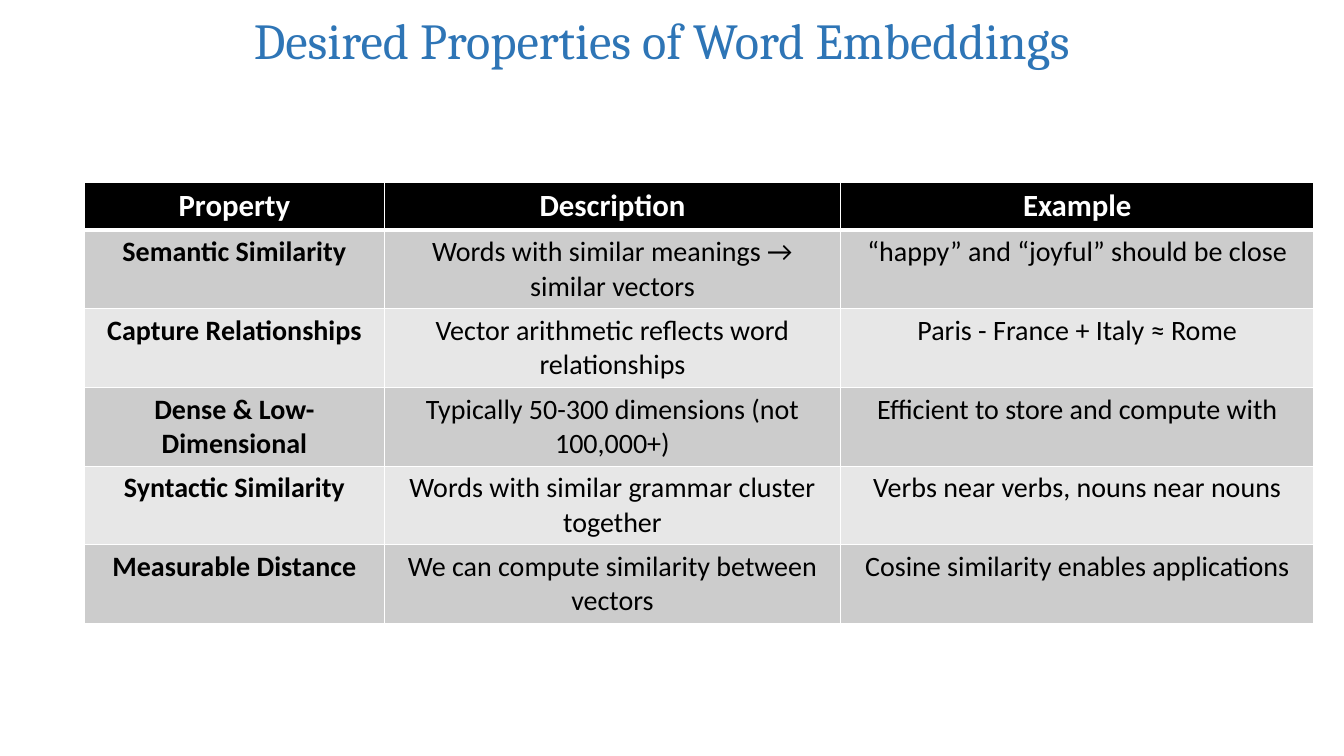
from lxml import etree
from pptx import Presentation
from pptx import util as u
from pptx.dml.color import RGBColor
from pptx.enum import text
from pptx.oxml import ns

WIDTH, HEIGHT = 13.33, 7.5
COLUMNS = (2.97, 4.53, 4.69)
HEADER_HEIGHT, ROW_HEIGHT = 0.46, 0.78
BANDS = ("CCCCCC", "E7E7E7")
ROWS = (
    ("Property", "Description", "Example"),
    ("Semantic Similarity", "Words with similar meanings → similar vectors",
     "“happy” and “joyful” should be close"),
    ("Capture Relationships", "Vector arithmetic reflects word relationships",
     "Paris - France + Italy ≈ Rome"),
    ("Dense & Low-Dimensional", "Typically 50-300 dimensions (not 100,000+)",
     "Efficient to store and compute with"),
    ("Syntactic Similarity", "Words with similar grammar cluster together",
     "Verbs near verbs, nouns near nouns"),
    ("Measurable Distance", "We can compute similarity between vectors",
     "Cosine similarity enables applications"),
)


def color(value):
    return RGBColor.from_string(value)


def write(frame, words, font, size, ink, bold=False):
    """Put one centred run into a text frame."""
    para = frame.paragraphs[0]
    para.alignment = text.PP_ALIGN.CENTER
    span = para.add_run()
    span.text = words
    span.font.name = font
    span.font.size = u.Pt(size)
    span.font.bold = bold
    span.font.color.rgb = color(ink)


def add_borders(cell, top, bottom):
    """Draw white cell edges; widths are in points."""
    properties = cell._tc.get_or_add_tcPr()
    for edge, width in (("L", 1), ("R", 1), ("T", top), ("B", bottom)):
        line = etree.SubElement(properties, ns.qn(f"a:ln{edge}"), w=str(u.Pt(width)))
        fill = etree.SubElement(line, ns.qn("a:solidFill"))
        etree.SubElement(fill, ns.qn("a:srgbClr"), val="FFFFFF")


def add_title(page, words):
    title = page.shapes.title
    title.left, title.top = u.Inches(0.52), u.Inches(0.08)
    title.width, title.height = u.Inches(12.2), u.Inches(0.62)
    frame = title.text_frame
    frame.word_wrap = True
    frame.vertical_anchor = text.MSO_ANCHOR.MIDDLE
    write(frame, words, "Cambria", 36, "2E75B6")


def add_properties_table(page):
    total = HEADER_HEIGHT + ROW_HEIGHT * (len(ROWS) - 1)
    table = page.shapes.add_table(
        len(ROWS), len(COLUMNS), u.Inches(0.84), u.Inches(1.81),
        u.Inches(sum(COLUMNS)), u.Inches(total)).table
    for column, width in zip(table.columns, COLUMNS):
        column.width = u.Inches(width)
    for r, row in enumerate(ROWS):
        header = r == 0
        table.rows[r].height = u.Inches(HEADER_HEIGHT if header else ROW_HEIGHT)
        for c, words in enumerate(row):
            cell = table.cell(r, c)
            add_borders(cell, top=3 if r == 1 else 1, bottom=3 if header else 1)
            cell.fill.solid()
            cell.fill.fore_color.rgb = color("000000" if header else BANDS[(r - 1) % 2])
            write(cell.text_frame, words, "Calibri", 22 if header else 20,
                  "FFFFFF" if header else "000000", bold=header or c == 0)


def main():
    deck = Presentation()
    deck.slide_width, deck.slide_height = u.Inches(WIDTH), u.Inches(HEIGHT)
    page = deck.slides.add_slide(deck.slide_layouts[5])  # title only
    add_title(page, "Desired Properties of Word Embeddings ")
    add_properties_table(page)
    deck.save("out.pptx")


if __name__ == "__main__":
    main()
